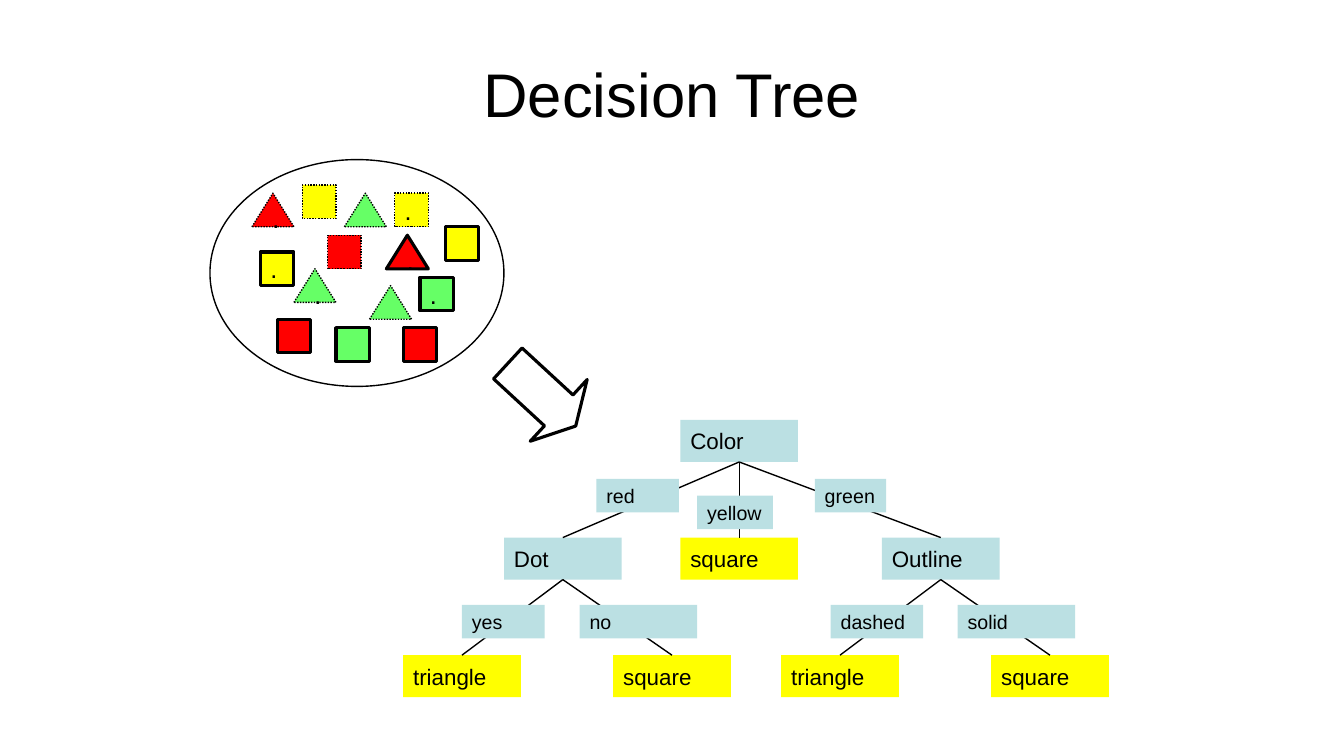
from dataclasses import dataclass

from lxml import etree
from pptx import Presentation
from pptx import util as u
from pptx.dml.color import RGBColor
from pptx.enum import dml, shapes, text
from pptx.oxml.ns import qn

COLUMNS, ROWS = 160, 90
COLORS = {
    "black": "000000",
    "teal": "BBE0E3",
    "yellow": "FFFF00",
    "red": "FF0000",
    "green": "66FF66",
}
FONT = "Arial"
RECT = shapes.MSO_SHAPE.RECTANGLE
TRIANGLE = shapes.MSO_SHAPE.ISOSCELES_TRIANGLE
MIDDLE = {"vertical_anchor": text.MSO_ANCHOR.MIDDLE, "word_wrap": False}
WRAPPED = {"auto_size": text.MSO_AUTO_SIZE.SHAPE_TO_FIT_TEXT, "word_wrap": True}
UNWRAPPED = {**WRAPPED, "word_wrap": False}
SOLID = {"width": u.Pt(2.25)}
DOTTED = {"width": u.Pt(1), "dash_style": dml.MSO_LINE.ROUND_DOT}
THIN = {"width": u.Pt(1)}


@dataclass
class Node:
    key: str
    words: str
    column: float
    row: float
    color: str = "yellow"
    parent: str = ""


@dataclass
class Label:
    words: str
    column: float
    row: float
    width: float
    frame: dict


@dataclass
class Sample:
    kind: shapes.MSO_SHAPE
    column: float
    row: float
    color: str
    outline: dict
    dot: bool = False


NODES = [
    Node("color", "Color", 81, 50, "teal"),
    Node("dot", "Dot", 60, 64, "teal", "color"),
    Node("outline", "Outline", 105, 64, "teal", "color"),
    Node("yellow", "square", 81, 64, parent="color"),
    Node("dot no", "square", 73, 78, parent="dot"),
    Node("dot yes", "triangle", 48, 78, parent="dot"),
    Node("solid", "square", 118, 78, parent="outline"),
    Node("dashed", "triangle", 93, 78, parent="outline"),
]
LABELS = [
    Label("red", 71, 57, 9.84, WRAPPED),
    Label("yellow", 83, 59, 9, UNWRAPPED),
    Label("green", 97, 57, 8.5, UNWRAPPED),
    Label("yes", 55, 72, 9.84, WRAPPED),
    Label("no", 69, 72, 14, WRAPPED),
    Label("dashed", 98.9, 72, 11, WRAPPED),
    Label("solid", 114, 72, 14, WRAPPED),
]
SAMPLES = [
    Sample(TRIANGLE, 46, 28, "red", SOLID, True),
    Sample(RECT, 36, 22, "yellow", DOTTED),
    Sample(TRIANGLE, 30, 23, "red", DOTTED, True),
    Sample(TRIANGLE, 44, 34, "green", DOTTED),
    Sample(TRIANGLE, 41, 23, "green", DOTTED),
    Sample(TRIANGLE, 35, 32, "green", DOTTED, True),
    Sample(RECT, 39, 28, "red", DOTTED),
    Sample(RECT, 53, 27, "yellow", SOLID),
    Sample(RECT, 31, 30, "yellow", SOLID, True),
    Sample(RECT, 33, 38, "red", SOLID),
    Sample(RECT, 47, 23, "yellow", DOTTED, True),
    Sample(RECT, 40, 39, "green", SOLID),
    Sample(RECT, 50, 33, "green", SOLID, True),
    Sample(RECT, 48, 39, "red", SOLID),
]

deck = Presentation()
deck.slide_width, deck.slide_height = u.Inches(13.33), u.Inches(7.5)
page = deck.slides.add_slide(deck.slide_layouts[6])


def place(column: float, row: float, width: float, height: float) -> list[int]:
    across, down = deck.slide_width / COLUMNS, deck.slide_height / ROWS
    return [round(column * across), round(row * down), round(width * across), round(height * down)]


def apply(target, values: dict) -> None:
    for name, value in values.items():
        setattr(target, name, value)


def rgb(color: str) -> RGBColor:
    return RGBColor.from_string(COLORS[color])


def write(box, words: str, size: float, frame: dict, align=text.PP_ALIGN.LEFT) -> None:
    apply(box.text_frame, frame)
    para = box.text_frame.paragraphs[0]
    para.alignment = align
    span = para.add_run()
    span.text = words
    apply(span.font, {"name": FONT, "size": u.Pt(size)})
    span.font.color.rgb = rgb("black")


def draw(kind, area: list[int], color: str = "", outline: dict | None = None):
    box = page.shapes.add_shape(kind, *area)
    box.shadow.inherit = False
    if color:
        box.fill.solid()
        box.fill.fore_color.rgb = rgb(color)
    else:
        box.fill.background()
    if outline:
        box.line.color.rgb = rgb("black")
        apply(box.line, outline)
    else:
        box.line.fill.background()
    return box


def join(child, parent) -> None:
    branch = page.shapes.add_connector(shapes.MSO_CONNECTOR.STRAIGHT, 0, 0, 0, 0)
    branch.begin_connect(child, 0)
    branch.end_connect(parent, 2)
    branch.line.color.rgb = rgb("black")
    apply(branch.line, THIN)
    etree.SubElement(branch.element.spPr, qn("a:effectLst"))


def draw_tree(nodes: list[Node], labels: list[Label]) -> None:
    boxes = {}
    for node in nodes:
        boxes[node.key] = draw(RECT, place(node.column, node.row, 14, 5), node.color)
        write(boxes[node.key], node.words, 16, MIDDLE)
    for node in nodes:
        if node.parent:
            join(boxes[node.key], boxes[node.parent])
    for label in labels:
        box = draw(RECT, place(label.column, label.row, label.width, 4), "teal")
        write(box, label.words, 14, label.frame)


def draw_samples(samples: list[Sample]) -> None:
    for sample in samples:
        width = 5 if sample.kind == TRIANGLE else 4
        area = place(sample.column, sample.row, width, 4)
        box = draw(sample.kind, area, sample.color, sample.outline)
        if sample.dot:
            write(box, ".", 18, MIDDLE)
    draw(shapes.MSO_SHAPE.OVAL, place(25, 19, 35, 27), outline=THIN)


def main() -> None:
    title = page.shapes.add_textbox(*place(8, 3.6, 144, 15))
    write(title, "Decision Tree", 44, {**MIDDLE, "word_wrap": True}, text.PP_ALIGN.CENTER)
    draw_tree(NODES, LABELS)
    draw_samples(SAMPLES)
    arrow = draw(shapes.MSO_SHAPE.RIGHT_ARROW, place(59, 42, 11, 10), outline=SOLID)
    arrow.rotation = 42.7
    arrow.adjustments[1] = 0.275
    deck.save("out.pptx")


if __name__ == "__main__":
    main()
